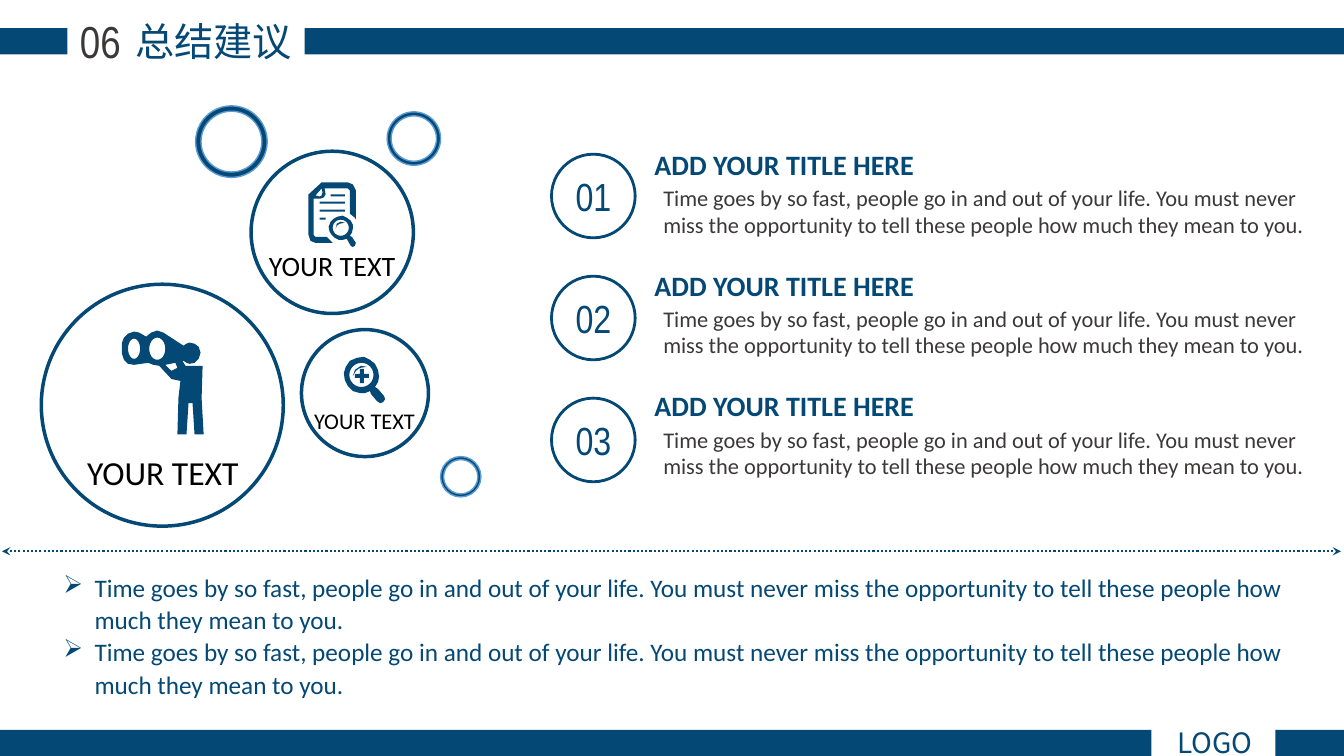
import math

from lxml import etree
from pptx import Presentation
from pptx.dml.color import RGBColor
from pptx.enum.dml import MSO_LINE
from pptx.enum.shapes import MSO_CONNECTOR, MSO_SHAPE
from pptx.enum.text import PP_ALIGN
from pptx.oxml.ns import qn
from pptx.util import Inches, Pt

RECT, OVAL, DONUT = MSO_SHAPE.RECTANGLE, MSO_SHAPE.OVAL, MSO_SHAPE.DONUT
LEFT, CENTER = PP_ALIGN.LEFT, PP_ALIGN.CENTER
STRAIGHT, DOTTED = MSO_CONNECTOR.STRAIGHT, MSO_LINE.ROUND_DOT
NAVY, SKY, GRAY, BLACK = "044875", "5B9BD5", "3B3838", "000000"
CJK, NARROW, CALIBRI = "Noto Sans CJK SC", "Arial Narrow", "Calibri"
SENTENCE = ("Time goes by so fast, people go in and out of your life. You must never miss "
            "the opportunity to tell these people how much they mean to you.")

prs = Presentation()
prs.slide_width, prs.slide_height = Inches(13.33), Inches(7.5)
s = prs.slides.add_slide(prs.slide_layouts[6])


def add_shape(kind, left, top, width, height, fill=None, line=None, weight=1):
    sp = s.shapes.add_shape(kind, Inches(left), Inches(top), Inches(width), Inches(height))
    sp.shadow.inherit = False
    if fill:
        sp.fill.solid()
        sp.fill.fore_color.rgb = RGBColor.from_string(fill)
    else:
        sp.fill.background()
    if line:
        sp.line.color.rgb = RGBColor.from_string(line)
        sp.line.width = Pt(weight)
    else:
        sp.line.fill.background()
    return sp


def add_text(paragraphs, left, top, width, height, size, font, color,
             align=CENTER, bold=False, spacing=None):
    box = s.shapes.add_textbox(Inches(left), Inches(top), Inches(width), Inches(height))
    tf = box.text_frame
    tf.word_wrap = True
    for i, text in enumerate(paragraphs):
        p = tf.add_paragraph() if i else tf.paragraphs[0]
        p.alignment = align
        if spacing:
            p.line_spacing = Pt(spacing)
        r = p.add_run()
        r.text = text
        r.font.size, r.font.name, r.font.bold = Pt(size), font, bold
        r.font.color.rgb = RGBColor.from_string(color)
        etree.SubElement(r.font._element, qn("a:ea"), typeface=font)
    return tf


# Header and footer bars
for left, top, width in [(0, 0.28, 0.67), (3.02, 0.28, 10.31), (12.65, 7.24, 0.68), (0, 7.24, 11.42)]:
    add_shape(RECT, left, top, width, 0.26, NAVY)
add_text(["总结建议"], 0.32, 0.12, 3.6, 0.57, 28, CJK, NAVY)
add_text(["06"], 0.6, 0.09, 0.79, 0.64, 32, NARROW, GRAY)
add_text(["LOGO"], 11.23, 7.15, 1.64, 0.44, 20, CJK, NAVY)

# Small rings
for left, top, size in [(1.94, 1.05, 0.71), (3.84, 1.11, 0.53), (4.37, 4.53, 0.4)]:
    add_shape(DONUT, left, top, size, size, NAVY, SKY).adjustments[0] = 0.075

# Icons: outlines as points, ovals as centre and radii; inner contours cut holes
lookout_outlines = [
    [(1.56, 3.28), (1.5, 3.3), (1.45, 3.34), (1.38, 3.3), (1.33, 3.29), (1.27, 3.31), (1.23, 3.35),
     (1.21, 3.4), (1.21, 3.51), (1.23, 3.57), (1.27, 3.61), (1.33, 3.62), (1.4, 3.61), (1.47, 3.6),
     (1.52, 3.62), (1.58, 3.63), (1.7, 3.76), (1.79, 3.78), (1.77, 3.95), (1.76, 4.31),
     (1.85, 4.31), (1.87, 4), (1.91, 4), (1.93, 4.31), (2.02, 4.31), (2, 3.95), (2.01, 3.63),
     (1.84, 3.63), (1.81, 3.58), (1.82, 3.58), (1.85, 3.6), (1.88, 3.61), (1.93, 3.6), (1.97, 3.56),
     (1.99, 3.5), (1.97, 3.44), (1.93, 3.41), (1.88, 3.4), (1.85, 3.41), (1.82, 3.43), (1.62, 3.3)],
    [(1.76, 3.65), (1.7, 3.68), (1.64, 3.62), (1.74, 3.6)]]
lookout_ovals = [(1.33, 3.46, 0.06, 0.1), (1.56, 3.46, 0.08, 0.11)]

report_outlines = [
    [(3.19, 1.81), (3.45, 1.81), (3.5, 1.83), (3.53, 1.89), (3.53, 2.18), (3.52, 2.16),
     (3.47, 2.12), (3.47, 1.89), (3.45, 1.87), (3.22, 1.87), (3.23, 1.93), (3.21, 1.96),
     (3.18, 1.97), (3.11, 1.97), (3.11, 2.33), (3.13, 2.35), (3.24, 2.35), (3.3, 2.41),
     (3.13, 2.41), (3.08, 2.39), (3.06, 2.33), (3.06, 1.93), (3.18, 1.82)],
    [(3.19, 1.87), (3.13, 1.94), (3.17, 1.95), (3.19, 1.94), (3.2, 1.91)],
    [(3.31, 2.17), (3.28, 2.2), (3.26, 2.25), (3.27, 2.3), (3.29, 2.33), (3.32, 2.36),
     (3.36, 2.38), (3.4, 2.38), (3.44, 2.37), (3.48, 2.44), (3.5, 2.45), (3.52, 2.44),
     (3.53, 2.41), (3.49, 2.35), (3.47, 2.34), (3.49, 2.31), (3.5, 2.27), (3.5, 2.23),
     (3.48, 2.19), (3.44, 2.16), (3.4, 2.14), (3.35, 2.15)],
    [(3.33, 2.27), (3.34, 2.24), (3.37, 2.22), (3.42, 2.21), (3.38, 2.2), (3.34, 2.22)]]
for left, top, right in [(3.17, 2.16, 3.23), (3.17, 2.08, 3.42), (3.17, 2, 3.42), (3.28, 1.93, 3.42)]:
    report_outlines.append([(left, top), (right, top), (right, top + 0.02), (left, top + 0.02)])
report_ovals = [(3.38, 2.26, 0.08, 0.08)]

zoom_outlines = [
    [(3.47, 3.58), (3.54, 3.55), (3.61, 3.54), (3.67, 3.57), (3.72, 3.61), (3.75, 3.67),
     (3.76, 3.74), (3.75, 3.79), (3.72, 3.84), (3.75, 3.86), (3.81, 3.93), (3.82, 3.96),
     (3.8, 3.99), (3.77, 4), (3.74, 3.98), (3.68, 3.91), (3.67, 3.88), (3.62, 3.9),
     (3.57, 3.9), (3.5, 3.88), (3.45, 3.83), (3.42, 3.77), (3.41, 3.7), (3.43, 3.64)],
    [(3.57, 3.8), (3.61, 3.8), (3.61, 3.75), (3.66, 3.75), (3.66, 3.71), (3.61, 3.71),
     (3.61, 3.66), (3.57, 3.66), (3.57, 3.71), (3.52, 3.71), (3.52, 3.75), (3.57, 3.75)],
    [(3.5, 3.73), (3.53, 3.68), (3.57, 3.65), (3.64, 3.64), (3.58, 3.63), (3.52, 3.67)]]
zoom_ovals = [(3.585, 3.72, 0.12, 0.12)]

# Circles with icon and caption
bubbles = [
    ((0.41, 2.82, 2.4), lookout_outlines, lookout_ovals, (0.73, 4.43, 0.5, 24)),
    ((2.49, 1.5, 1.61), report_outlines, report_ovals, (2.41, 2.42, 0.44, 20)),
    ((2.99, 3.27, 1.26), zoom_outlines, zoom_ovals, (2.73, 3.99, 0.37, 16)),
]
for (left, top, size), outlines, ovals, (text_left, text_top, text_height, text_size) in bubbles:
    add_shape(OVAL, left, top, size, size, line=NAVY, weight=2.5)
    angles = [math.radians(15 * step) for step in range(24)]
    contours = outlines + [[(cx + rx * math.cos(a), cy + ry * math.sin(a)) for a in angles]
                           for cx, cy, rx, ry in ovals]
    builder = None
    for contour in contours:
        points = [(x * 1000, y * 1000) for x, y in contour]
        if builder is None:
            builder = s.shapes.build_freeform(*points[0], scale=Inches(1) / 1000)
        else:
            builder.move_to(*points[0])
        builder.add_line_segments(points[1:], close=True)
    icon = builder.convert_to_shape()
    icon.shadow.inherit = False
    icon.fill.solid()
    icon.fill.fore_color.rgb = RGBColor.from_string(NAVY)
    icon.line.fill.background()
    add_text(["YOUR TEXT"], text_left, text_top, 1.77, text_height, text_size, CALIBRI, BLACK)

# Numbered points
for i in range(3):
    add_text([f"0{i + 1}"], 5.21, 1.66 + 1.21 * i, 1.35, 0.57, 28, NARROW, NAVY)
    add_shape(OVAL, 5.47, 1.53 + 1.21 * i, 0.83, 0.83, line=NAVY, weight=2)
    add_text(["ADD YOUR TITLE HERE"], 6.08, 1.41 + 1.2 * i, 3.4, 0.44, 20, CALIBRI, NAVY, bold=True)
    add_text([SENTENCE], 6.48, 1.78 + 1.2 * i, 6.62, 0.63, 16, CALIBRI, GRAY, LEFT, spacing=19)

# Dotted divider with arrowheads
divider = s.shapes.add_connector(STRAIGHT, Inches(13.3), Inches(5.47), Inches(0.02), Inches(5.47))
divider.line.color.rgb = RGBColor.from_string(NAVY)
divider.line.width = Pt(1.5)
divider.line.dash_style = DOTTED
ln = divider.line._get_or_add_ln()
for end in ("a:headEnd", "a:tailEnd"):
    etree.SubElement(ln, qn(end), type="stealth")
etree.SubElement(divider._element.spPr, qn("a:effectLst"))

# Closing bullets
tf = add_text([SENTENCE] * 2, 0.53, 5.61, 12.76, 1.39, 18, CALIBRI, NAVY, LEFT, spacing=23)
for p in tf.paragraphs:
    pPr = p._p.get_or_add_pPr()
    pPr.set("marL", str(Inches(0.31)))
    pPr.set("indent", str(-Inches(0.31)))
    etree.SubElement(pPr, qn("a:buFont"), typeface="Wingdings")
    etree.SubElement(pPr, qn("a:buChar"), char="Ø")

prs.save("out.pptx")
